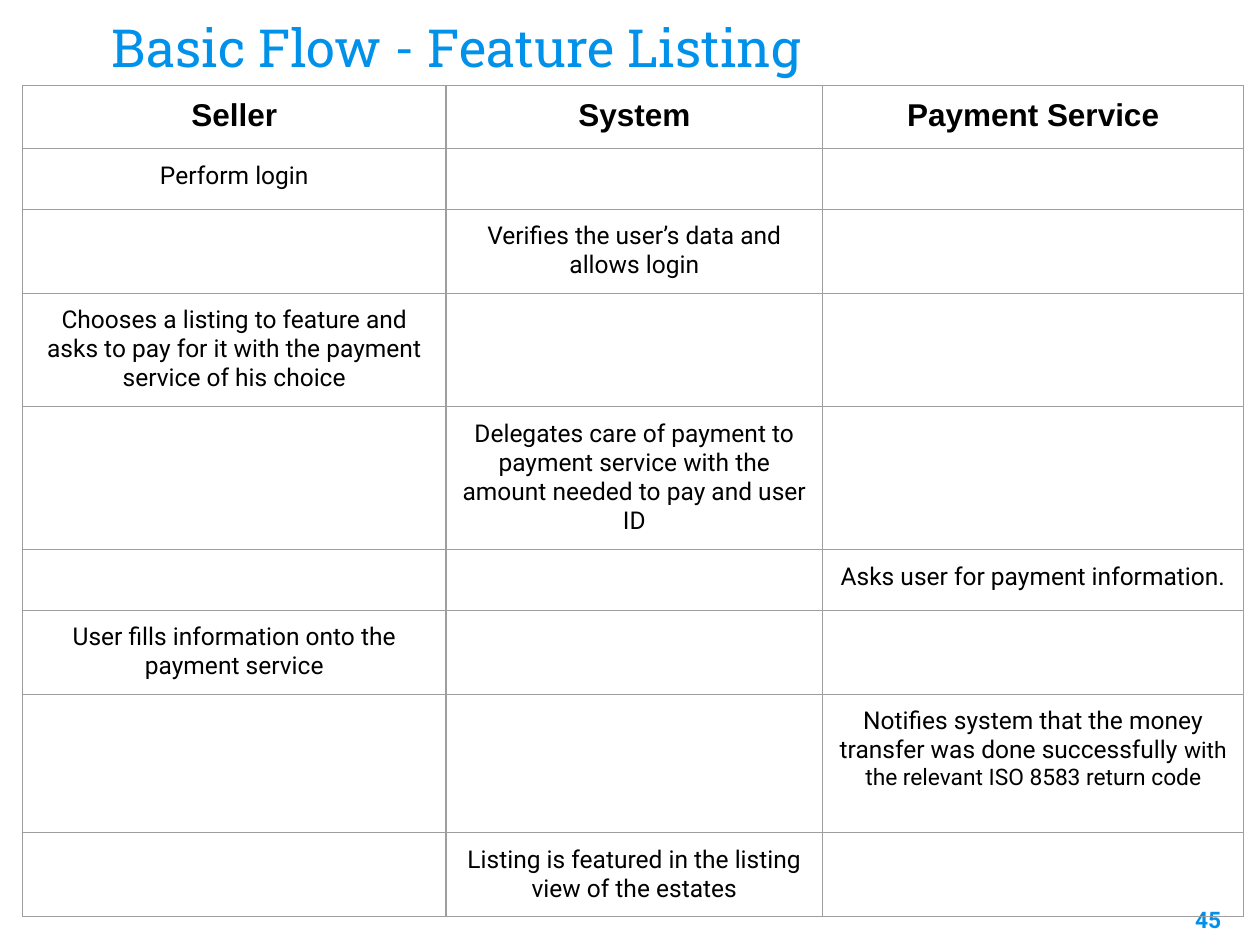
from dataclasses import dataclass

from lxml import etree
from pptx import Presentation
from pptx import util as u
from pptx.dml import color
from pptx.enum import text
from pptx.oxml import ns


@dataclass(frozen=True)
class Theme:
    accent: str = "0091EA"
    ink: str = "000000"
    border: str = "9E9E9E"
    title_font: str = "Roboto Slab"
    head_font: str = "Arial"
    body_font: str = "Roboto"
    title_size: float = 30
    head_size: float = 18
    body_size: float = 14
    small_size: float = 13
    border_width: float = 0.75
    inset: float = 0.1


@dataclass(frozen=True)
class Step:
    actor: int
    height: float
    text: str
    small_text: str = ""


T = Theme()
ACTORS = ["Seller", "System", "Payment Service"]
COLUMN_WIDTHS = [3.36, 2.99, 3.34]
HEADER_HEIGHT = 0.49
SELLER, SYSTEM, PAYMENT = range(3)
STEPS = [
    Step(SELLER, 0.48, "Perform login"),
    Step(SYSTEM, 0.66, "Verifies the user’s data and allows login"),
    Step(SELLER, 0.89, "Chooses a listing to feature and asks to pay for it "
         "with the payment service of his choice"),
    Step(SYSTEM, 1.12, "Delegates care of payment to payment service with "
         "the amount needed to pay and user ID"),
    Step(PAYMENT, 0.48, "Asks user for payment information."),
    Step(SELLER, 0.66, "User fills information onto the payment service"),
    Step(PAYMENT, 1.1, "Notifies system that the money transfer was done successfully ",
         "with the relevant ISO 8583 return code"),
    Step(SYSTEM, 0.66, "Listing is featured in the listing view of the estates"),
]


def add_run(p, content: str, *, size: float = T.body_size, font: str = T.body_font,
            rgb: str = T.ink, bold: bool = False) -> None:
    r = p.add_run()
    r.text = content
    r.font.size = u.Pt(size)
    r.font.name = font
    r.font.bold = bold
    r.font.color.rgb = color.RGBColor.from_string(rgb)


def set_insets(target) -> None:
    for side in ("left", "top", "right", "bottom"):
        setattr(target, f"margin_{side}", u.Inches(T.inset))


def add_label(s, content: str, box: tuple[float, float, float, float],
              anchor: text.MSO_ANCHOR, align: text.PP_ALIGN, **style) -> None:
    tf = s.shapes.add_textbox(*map(u.Inches, box)).text_frame
    tf.word_wrap = True
    tf.vertical_anchor = anchor
    set_insets(tf)
    p = tf.paragraphs[0]
    p.alignment = align
    add_run(p, content, **style)


def set_borders(cell) -> None:
    props = cell._tc.get_or_add_tcPr()
    for i, side in enumerate(("lnL", "lnR", "lnT", "lnB")):
        ln = etree.Element(ns.qn(f"a:{side}"), w=str(u.Pt(T.border_width)))
        fill = etree.SubElement(ln, ns.qn("a:solidFill"))
        etree.SubElement(fill, ns.qn("a:srgbClr"), val=T.border)
        props.insert(i, ln)


def cell_paragraph(cell):
    set_insets(cell)
    p = cell.text_frame.paragraphs[0]
    p.alignment = text.PP_ALIGN.CENTER
    return p


def add_flow_table(s, left: float, top: float) -> None:
    heights = [HEADER_HEIGHT] + [step.height for step in STEPS]
    frame = s.shapes.add_table(
        len(heights), len(ACTORS), u.Inches(left), u.Inches(top),
        u.Inches(sum(COLUMN_WIDTHS)), u.Inches(sum(heights)))
    table = frame.table
    table.first_row = table.horz_banding = False
    for column, width in zip(table.columns, COLUMN_WIDTHS):
        column.width = u.Inches(width)
    for row, height in zip(table.rows, heights):
        row.height = u.Inches(height)
    for cell in table.iter_cells():
        cell.fill.background()
        set_borders(cell)
    for i, actor in enumerate(ACTORS):
        add_run(cell_paragraph(table.cell(0, i)), actor,
                size=T.head_size, font=T.head_font, bold=True)
    for i, step in enumerate(STEPS, 1):
        p = cell_paragraph(table.cell(i, step.actor))
        add_run(p, step.text)
        if step.small_text:
            add_run(p, step.small_text, size=T.small_size)


def main() -> None:
    prs = Presentation()
    prs.slide_width, prs.slide_height = u.Inches(10), u.Inches(7.5)
    s = prs.slides.add_slide(prs.slide_layouts[6])
    add_label(s, "Basic Flow - Feature Listing", (0.79, -0.3, 8.28, 1.02),
              text.MSO_ANCHOR.BOTTOM, text.PP_ALIGN.LEFT,
              size=T.title_size, font=T.title_font, rgb=T.accent)
    add_label(s, "45", (9.19, 7.09, 0.6, 0.38),
              text.MSO_ANCHOR.TOP, text.PP_ALIGN.RIGHT,
              size=T.small_size, rgb=T.accent, bold=True)
    add_flow_table(s, 0.18, 0.68)
    prs.save("out.pptx")


if __name__ == "__main__":
    main()
